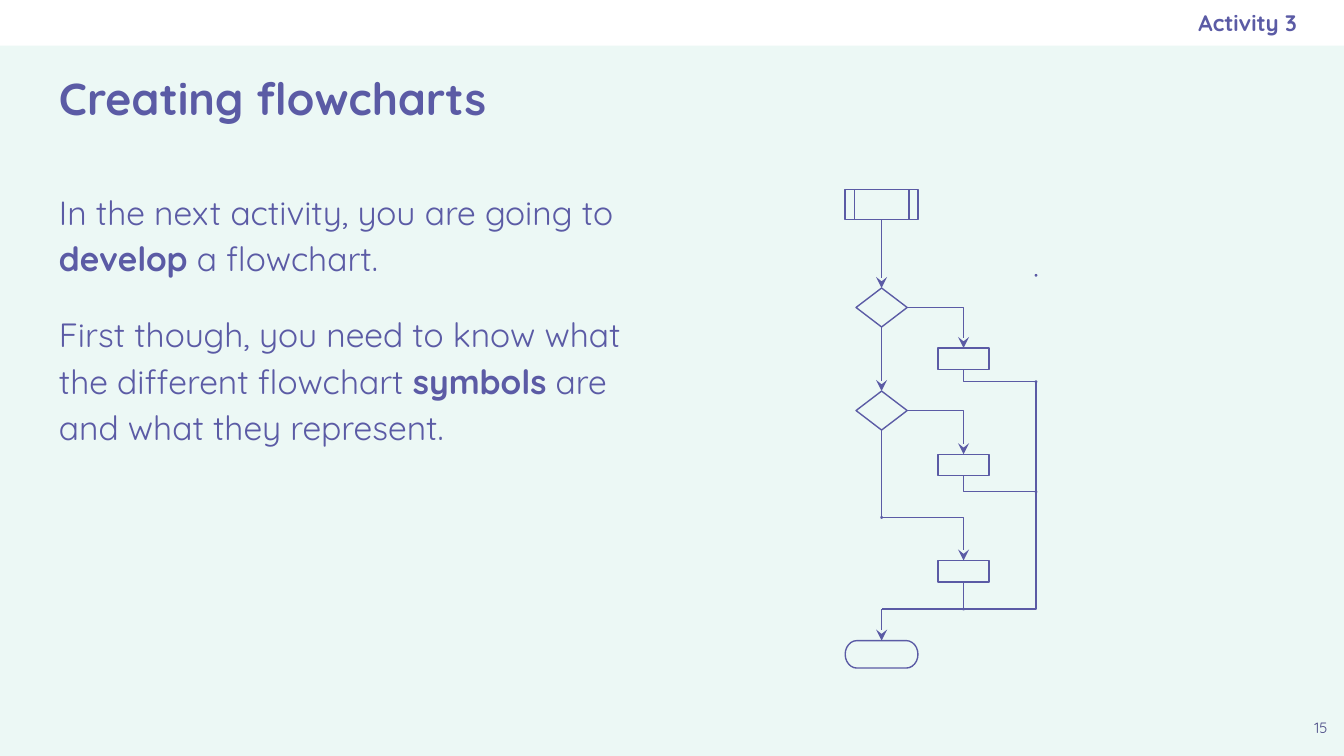
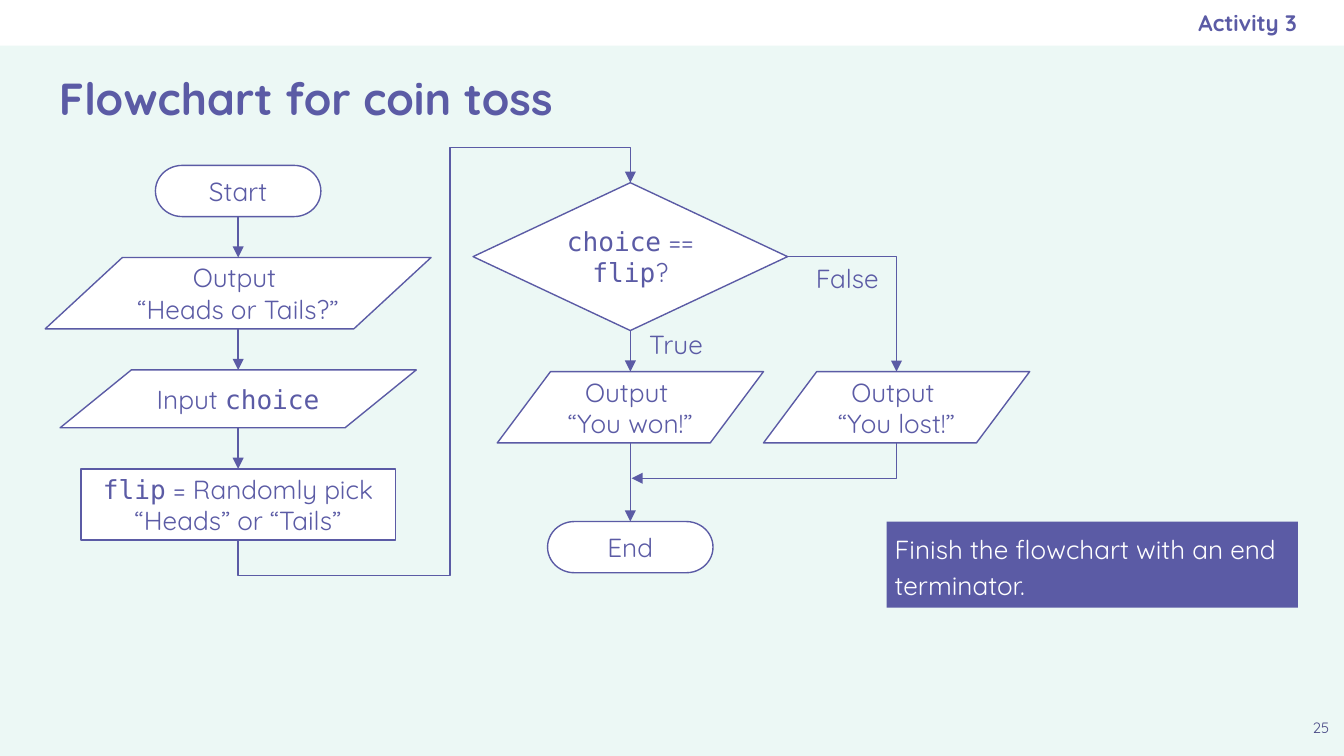
import pptx
import pptx.util
import pptx.dml.color
import pptx.enum.shapes
import pptx.enum.text
import pptx.oxml.ns
from lxml import etree

Pt = pptx.util.Pt
RGB = pptx.dml.color.RGBColor
Kind = pptx.enum.shapes.MSO_SHAPE
Wire = pptx.enum.shapes.MSO_CONNECTOR
Align = pptx.enum.text.PP_ALIGN
Anchor = pptx.enum.text.MSO_ANCHOR
qn = pptx.oxml.ns.qn

MINT = RGB(0xEC, 0xF8, 0xF5)
WHITE = RGB(0xFF, 0xFF, 0xFF)
PURPLE = RGB(0x5B, 0x5B, 0xA5)
DARK = RGB(0x49, 0x49, 0x85)
SANS = "Quicksand"
MONO = "DejaVu Sans Mono"
WIDE, HIGH = 720, 405
BAND = 24.5


def write(shape, lines, size=14, color=PURPLE, bold=False, mark="mono",
          align=Align.LEFT, anchor=Anchor.TOP, inset=7.2, right=None,
          space=None, gap=0):
    frame = shape.text_frame
    frame.word_wrap = True
    frame.vertical_anchor = anchor
    frame.margin_left = frame.margin_top = frame.margin_bottom = Pt(inset)
    frame.margin_right = Pt(inset if right is None else right)
    for row, line in enumerate(lines):
        para = frame.add_paragraph() if row else frame.paragraphs[0]
        para.alignment = align
        if space:
            para.line_spacing = space
        if row and gap:
            para.space_before = Pt(gap)
        for part, words in enumerate(line.split("*")):
            if not words:
                continue
            special = part % 2 == 1
            run = para.add_run()
            run.text = words
            font = run.font
            font.size = Pt(size)
            font.color.rgb = color
            font.bold = bold or (special and mark == "bold")
            font.name = MONO if special and mark == "mono" else SANS


def label(slide, box, lines, **style):
    shape = slide.shapes.add_textbox(*map(Pt, box))
    write(shape, lines, **style)


def node(slide, kind, box, lines=(), fill=None, edge=PURPLE, **style):
    shape = slide.shapes.add_shape(kind, *map(Pt, box))
    shape.shadow.inherit = False
    if fill is None:
        shape.fill.background()
    else:
        shape.fill.solid()
        shape.fill.fore_color.rgb = fill
    if edge is None:
        shape.line.fill.background()
    else:
        shape.line.color.rgb = edge
        shape.line.width = Pt(0.75)
    if lines:
        write(shape, lines, **style)
    return shape


def wire(slide, start, end, tip=None, head=None, kind=Wire.STRAIGHT):
    line = slide.shapes.add_connector(kind, *map(Pt, start + end))
    line.line.color.rgb = PURPLE
    line.line.width = Pt(0.75)
    pen = line.line._ln
    for tag, style in (("a:headEnd", head), ("a:tailEnd", tip)):
        if style:
            etree.SubElement(pen, qn(tag)).set("type", style)
    etree.SubElement(line._element.spPr, qn("a:effectLst"))
    return line


def elbow(slide, start, end, form="bentConnector2", turn=0, bends=(), **tips):
    line = wire(slide, start, end, kind=Wire.ELBOW, **tips)
    props = line._element.spPr
    geom = props.find(qn("a:prstGeom"))
    geom.set("prst", form)
    if turn:
        props.find(qn("a:xfrm")).set("rot", str(turn * 60000))
    guides = geom.find(qn("a:avLst"))
    for pos, bend in enumerate(bends, 1):
        guide = etree.SubElement(guides, qn("a:gd"))
        guide.set("name", f"adj{pos}")
        guide.set("fmla", f"val {round(bend * 100000)}")


def link(slide, top, low, tip="triangle"):
    start = ((top.left + top.width / 2) / 12700, (top.top + top.height) / 12700)
    end = ((low.left + low.width / 2) / 12700, low.top / 12700)
    line = wire(slide, start, end, tip)
    if top.auto_shape_type != Kind.FLOWCHART_DATA:
        line.begin_connect(top, 2)
    if low.auto_shape_type != Kind.FLOWCHART_DATA:
        line.end_connect(low, 0)


def base(deck, title, page):
    slide = deck.slides.add_slide(deck.slide_layouts[6])
    back = slide.background.fill
    back.solid()
    back.fore_color.rgb = MINT
    node(slide, Kind.RECTANGLE, (0, 0, WIDE, BAND), fill=WHITE, edge=None)
    label(slide, (24.5, 25.2, 671, 54.7), [title], size=24, bold=True,
          anchor=Anchor.MIDDLE)
    label(slide, (414, 0, 280.8, BAND), ["Activity 3"], size=12, bold=True,
          align=Align.RIGHT, anchor=Anchor.MIDDLE, right=0)
    label(slide, (695.5, 380, 24.5, 24.5), [page], size=8, color=DARK,
          align=Align.CENTER)
    return slide


def sketch(slide, left, top):
    trunk, side, rail = left + 19.5, left + 63.4, left + 102.2
    tip = "stealth"

    def place(kind, mid, y, w, h):
        return node(slide, kind, (mid - w / 2, top + y, w, h))

    call = place(Kind.FLOWCHART_PREDEFINED_PROCESS, trunk, 0, 39, 16)
    tests = [place(Kind.FLOWCHART_DECISION, trunk, 52.8 + 55.2 * n, 27.4, 20.9)
             for n in range(2)]
    steps = [place(Kind.RECTANGLE, side, 85 + 56.9 * n, 27.4, 11.5)
             for n in range(3)]
    close = place(Kind.FLOWCHART_TERMINATOR, trunk, 241.7, 39, 14.7)
    link(slide, call, tests[0], tip)
    link(slide, tests[0], tests[1], tip)

    fork, base_y = top + 175.7, top + 224.8
    joins = [top + 103, top + 162]
    for n, join in enumerate(joins):
        step_y = top + 85 + 56.9 * n
        elbow(slide, (trunk + 13.7, top + 63.25 + 55.2 * n), (side, step_y), tip=tip)
        elbow(slide, (rail, join), (side, step_y + 11.5))
    wire(slide, (trunk, top + 128.9), (trunk, fork)).begin_connect(tests[1], 2)
    elbow(slide, (trunk, fork), (side, top + 198.8), tip=tip)
    wire(slide, (side, top + 210.3), (side, base_y)).begin_connect(steps[2], 2)
    elbow(slide, (side, base_y), (rail, joins[0]))
    wire(slide, (side, base_y), (trunk, base_y))
    wire(slide, (trunk, base_y), (trunk, top + 241.7), tip).end_connect(close, 0)

    dots = [(rail, y) for y in (top + 46, *joins)]
    for x, y in dots + [(trunk, fork), (side, base_y)]:
        node(slide, Kind.OVAL, (x - 0.35, y - 0.35, 0.7, 0.7), fill=PURPLE)


def toss(slide, left, top):
    first, second, third = left + 103.6, left + 313.7, left + 456.3
    gap, tall = 22, 38.2

    def place(kind, mid, y, w, h, *lines):
        return node(slide, kind, (mid - w / 2, y, w, h), lines, fill=WHITE,
                    align=Align.CENTER, anchor=Anchor.MIDDLE)

    y = top + 9.4
    chain = []
    for kind, w, h, *lines in (
            (Kind.FLOWCHART_TERMINATOR, 88.6, 27.4, "Start"),
            (Kind.FLOWCHART_DATA, 206.7, tall, "Output ", "“Heads or Tails?”"),
            (Kind.FLOWCHART_DATA, 190.8, 31, "Input *choice*"),
            (Kind.RECTANGLE, 168.5, tall,
             "*flip* = Randomly pick “Heads” or “Tails”")):
        chain.append(place(kind, first, y, w, h, *lines))
        y += h + gap
    for upper, lower in zip(chain, chain[1:]):
        link(slide, upper, lower)

    peak, foot = top + 18.7, y - gap
    test = place(Kind.DIAMOND, second, peak, 168.5, 79.2, "*choice* == *flip*?")
    out = peak + 79.2 + gap
    won, _ = [place(Kind.FLOWCHART_DATA, mid, out, 142.6, tall, "Output ", words)
              for mid, words in ((second, "“You won!”"), (third, "“You lost!”"))]
    end = place(Kind.FLOWCHART_TERMINATOR, second, top + 200.2, 88.6, 27.4, "End")
    link(slide, test, won)
    link(slide, won, end)

    mid_x, mid_y = (first + second) / 2, (peak + foot) / 2
    half_w, half_h = (foot - peak) / 2, (second - first) / 2
    elbow(slide, (mid_x - half_w, mid_y - half_h), (mid_x + half_w, mid_y + half_h),
          form="bentConnector5", turn=90, bends=(-0.098, 0.46, 1.098),
          head="triangle")
    elbow(slide, (second + 84.25, peak + 39.6), (third, out), tip="triangle")
    elbow(slide, (second + 0.7, top + 177.1), (third, out + tall), head="triangle")
    for x, y, word in ((410.2, 58.3, "False"), (320.9, 93.6, "True")):
        label(slide, (left + x, top + y, 40.3, 24.5), [word], inset=2.9)


def intro(deck):
    slide = base(deck, "Creating flowcharts", "15")
    label(slide, (24.5, 92.2, 322.6, 288),
          ["In the next activity, you are going to *develop* a flowchart.",
           "First though, you need to know what the different flowchart "
           "*symbols* are and what they represent."],
          size=18, mark="bold", space=1.15, gap=16)
    sketch(slide, 452.8, 101.5)


def coin(deck):
    slide = base(deck, "Flowchart for coin toss", "25")
    toss(slide, 24, 79.2)
    node(slide, Kind.RECTANGLE, (475, 279.5, 220.3, 46),
         ["Finish the flowchart with an end terminator."],
         fill=PURPLE, edge=None, color=WHITE, inset=4.3, space=1.13)


def main():
    deck = pptx.Presentation()
    deck.slide_width, deck.slide_height = Pt(WIDE), Pt(HIGH)
    intro(deck)
    coin(deck)
    deck.save("out.pptx")


if __name__ == "__main__":
    main()
